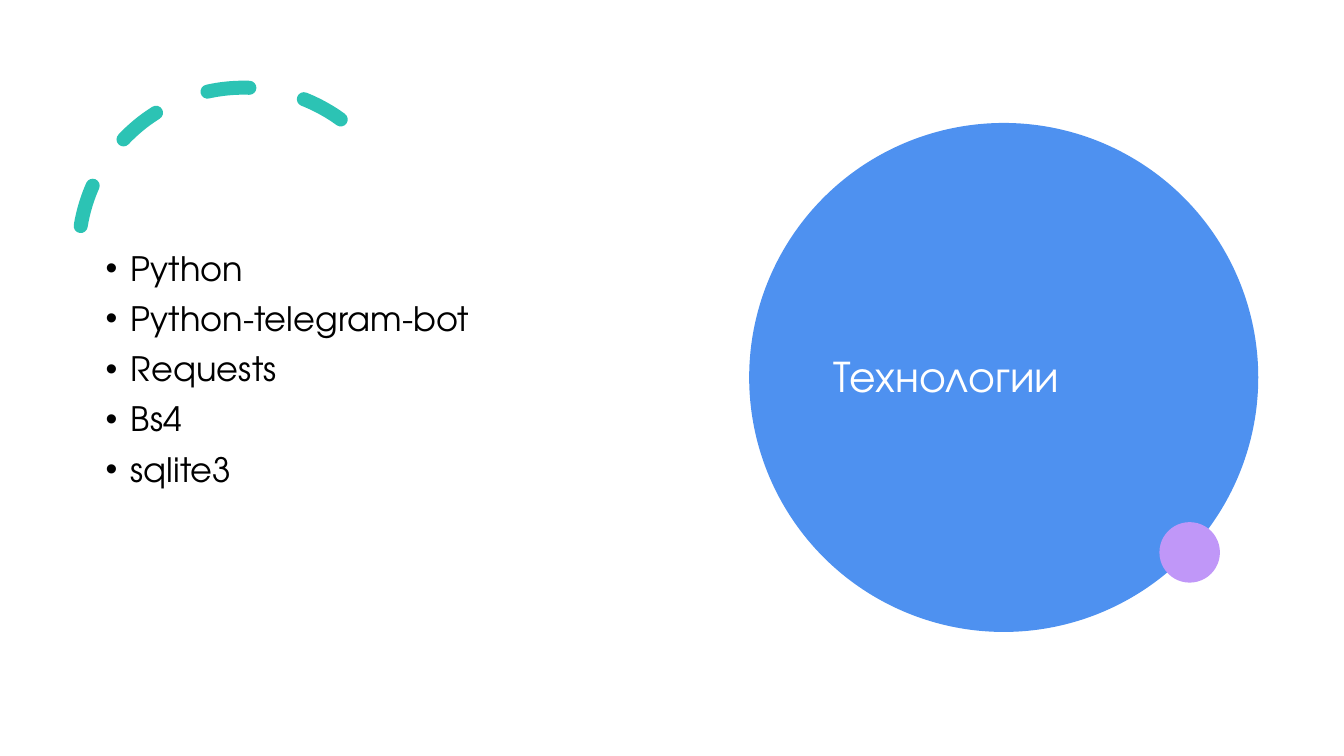
from dataclasses import dataclass

from lxml import etree
from pptx import Presentation
from pptx.dml.color import RGBColor
from pptx.enum.dml import MSO_LINE
from pptx.enum.shapes import MSO_SHAPE
from pptx.enum.text import MSO_ANCHOR, PP_ALIGN
from pptx.oxml.ns import qn
from pptx.util import Inches, Pt

RECTANGLE, ELLIPSE, ARC = MSO_SHAPE.RECTANGLE, MSO_SHAPE.OVAL, MSO_SHAPE.ARC
DASH = MSO_LINE.DASH
TOP, MIDDLE = MSO_ANCHOR.TOP, MSO_ANCHOR.MIDDLE
LEFT = PP_ALIGN.LEFT

WIDTH, HEIGHT = Inches(13.33), Inches(7.5)
BULLET_INDENT = Inches(0.25)
TECHNOLOGIES = ["Python", "Python-telegram-bot", "Requests", "Bs4", "sqlite3"]


@dataclass(frozen=True)
class Theme:
    font: str = "TeX Gyre Adventor"
    title_size: int = 32
    body_size: int = 24
    white: str = "FFFFFF"
    black: str = "000000"
    teal: str = "2CC3B4"
    blue: str = "4E91F0"
    violet: str = "C097F8"


THEME = Theme()


def box(left, top, width, height):
    """Turn percentages of the slide's width and height into lengths."""
    return (int(WIDTH * left / 100), int(HEIGHT * top / 100),
            int(WIDTH * width / 100), int(HEIGHT * height / 100))


def disc_box(left, top, diameter):
    """Give a square box whose side is a percentage of the slide's width."""
    return box(left, top, diameter, diameter * WIDTH / HEIGHT)


def set_attributes(target, values):
    for name, value in values.items():
        setattr(target, name, value)


def add_filled_shape(slide, kind, place, color):
    shape = slide.shapes.add_shape(kind, *place)
    shape.shadow.inherit = False
    shape.fill.solid()
    shape.fill.fore_color.rgb = RGBColor.from_string(color)
    shape.line.fill.background()


def add_dashed_arc(slide, place, color):
    arc = slide.shapes.add_shape(ARC, *place)
    arc.shadow.inherit = False
    arc.fill.background()
    arc.adjustments[0], arc.adjustments[1] = 158.17, 17.81
    arc.rotation = 29.8
    arc.line.color.rgb = RGBColor.from_string(color)
    set_attributes(arc.line, {"width": Pt(10), "dash_style": DASH})
    arc.line._get_or_add_ln().set("cap", "rnd")
    arc._element.spPr.find(qn("a:xfrm")).set("flipH", "1")


def add_bullet(paragraph):
    properties = paragraph._p.get_or_add_pPr()
    properties.set("marL", str(BULLET_INDENT))
    properties.set("indent", str(-BULLET_INDENT))
    etree.SubElement(properties, qn("a:buFont")).set("typeface", "Arial")
    etree.SubElement(properties, qn("a:buChar")).set("char", "•")


def add_text(slide, place, lines, size, color, anchor=TOP, bulleted=False):
    frame = slide.shapes.add_textbox(*place).text_frame
    set_attributes(frame, {"word_wrap": True, "vertical_anchor": anchor,
                           "text": "\n".join(lines)})
    for paragraph in frame.paragraphs:
        set_attributes(paragraph, {"alignment": LEFT, "line_spacing": 0.9,
                                   "space_before": Pt(10 if bulleted else 0)})
        font = paragraph.runs[0].font
        set_attributes(font, {"name": THEME.font, "size": Pt(size)})
        font.color.rgb = RGBColor.from_string(color)
        if bulleted:
            add_bullet(paragraph)


def main():
    presentation = Presentation()
    set_attributes(presentation, {"slide_width": WIDTH, "slide_height": HEIGHT})
    slide = presentation.slides.add_slide(presentation.slide_layouts[6])

    add_filled_shape(slide, RECTANGLE, box(0, 0, 100, 100), THEME.white)
    add_dashed_arc(slide, disc_box(5.85, 11.6, 24.53), THEME.teal)
    add_filled_shape(slide, ELLIPSE, disc_box(55.74, 16.27, 37.88), THEME.blue)
    add_text(slide, box(61.29, 20.4, 26.56, 59.33), ["Технологии"],
             THEME.title_size, THEME.white, anchor=MIDDLE)
    add_text(slide, box(7.13, 32.67, 45.39, 57.33), TECHNOLOGIES,
             THEME.body_size, THEME.black, bulleted=True)
    add_filled_shape(slide, ELLIPSE, disc_box(86.27, 69.07, 4.5), THEME.violet)

    presentation.save("out.pptx")


if __name__ == "__main__":
    main()
